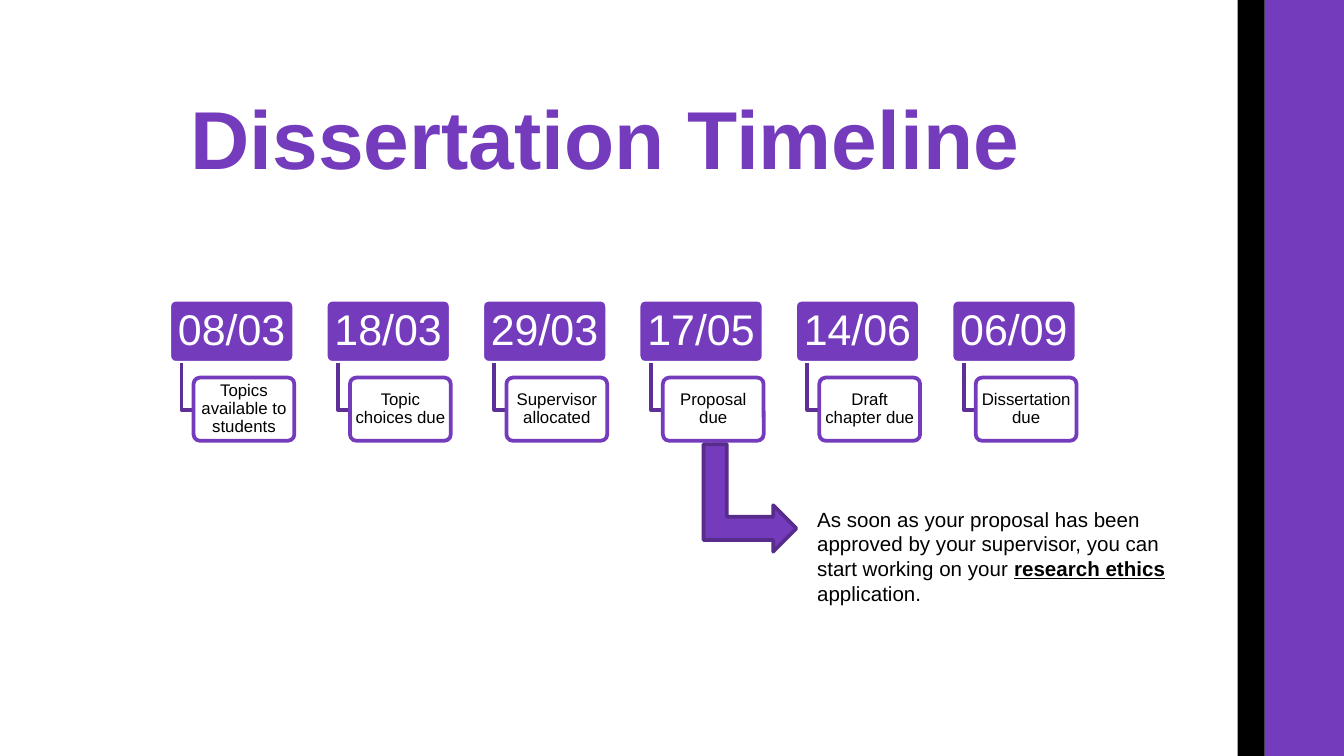
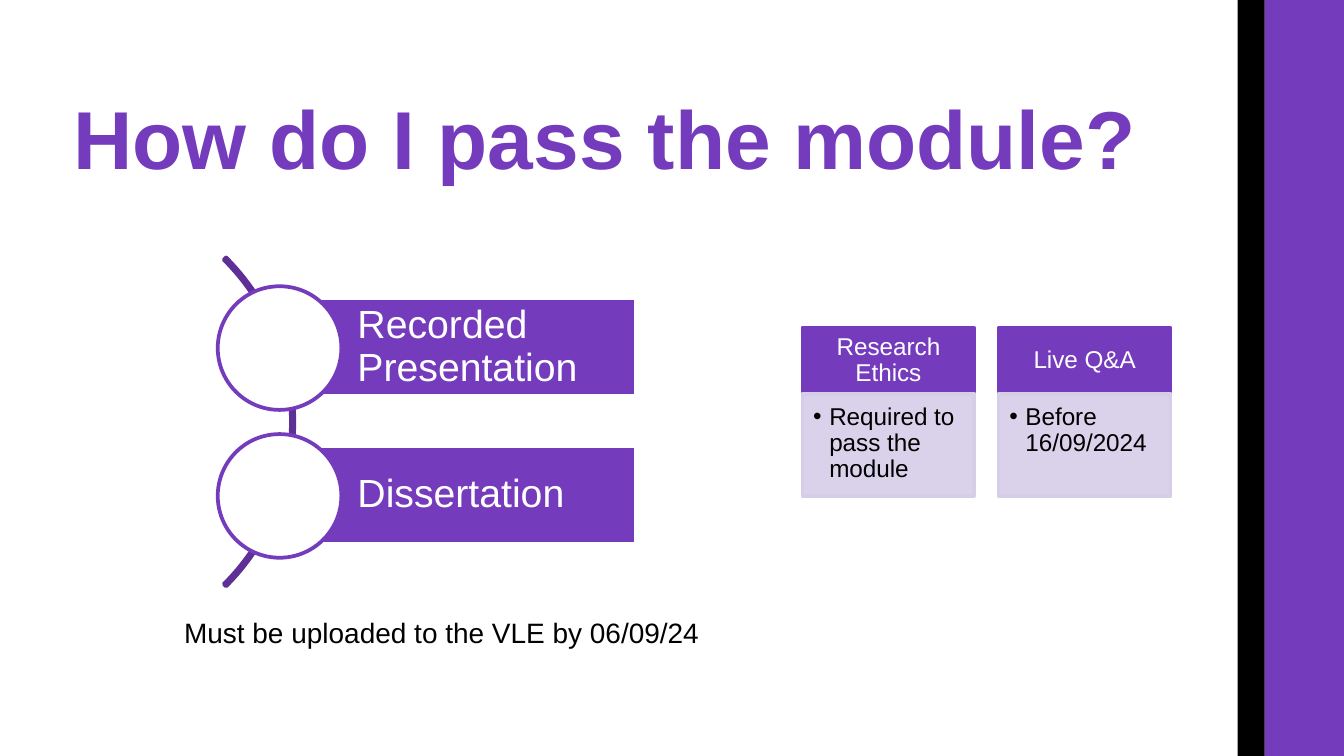
from lxml import etree
from pptx import Presentation
from pptx.dml.color import RGBColor
from pptx.enum.shapes import MSO_SHAPE as SHAPE
from pptx.enum.text import MSO_ANCHOR as ANCHOR, PP_ALIGN as ALIGN
from pptx.oxml.ns import qn
from pptx.util import Inches, Pt

PURPLE = RGBColor(0x75, 0x3B, 0xBD)
MID_PURPLE = RGBColor(0x5E, 0x2F, 0x97)
DARK_PURPLE = RGBColor(0x57, 0x2C, 0x8C)
LILAC = RGBColor(0xD6, 0xCE, 0xE8)
WHITE = RGBColor(0xFF, 0xFF, 0xFF)
BLACK = RGBColor(0, 0, 0)
FONT = "Arial"
WIDTH = 10
HEIGHT = WIDTH * 9 / 16


def add_box(slide, kind, at, fill=None, line=None, opacity=100):
    """Add a preset shape, or a text box if kind is None."""
    at = [Inches(v) for v in at]
    if kind is None:
        return slide.shapes.add_textbox(*at)
    box = slide.shapes.add_shape(kind, *at)
    box.shadow.inherit = False
    box.fill.solid()
    box.fill.fore_color.rgb = fill
    if line is None:
        box.line.fill.background()
    else:
        box.line.color.rgb = line
        box.line.width = Pt(2)
    if opacity < 100:
        fill_color = box.fill._xPr.find(qn("a:solidFill"))[0]
        etree.SubElement(fill_color, qn("a:alpha"), val=str(opacity * 1000))
    return box


def write(box, text, size, color, insets=(0, 0, 0, 0), align=ALIGN.LEFT,
          anchor=ANCHOR.TOP, spacing=0.9, indent=0, bullet=False, bold=None):
    """Put one paragraph in a box and return the paragraph."""
    frame = box.text_frame
    frame.word_wrap = True
    frame.vertical_anchor = anchor
    (frame.margin_left, frame.margin_top,
     frame.margin_right, frame.margin_bottom) = [Inches(v) for v in insets]
    para = frame.paragraphs[0]
    para.add_run().text = text
    para.alignment = align
    para.line_spacing = spacing
    props = para._p.get_or_add_pPr()
    if indent:
        props.set("marL", str(Inches(indent)))
    if bullet:
        props.set("indent", str(-Inches(indent)))
        etree.SubElement(props, qn("a:buFont"), typeface=FONT)
        etree.SubElement(props, qn("a:buChar"), char="•")
    para.font.name = FONT
    para.font.size = Pt(size)
    para.font.color.rgb = color
    para.font.bold = bold
    return para


prs = Presentation()
prs.slide_width, prs.slide_height = Inches(WIDTH), Inches(HEIGHT)

# Both slides: side bands and title
slides = []
for title in ("Dissertation Timeline", "How do I pass the module?"):
    slide = prs.slides.add_slide(prs.slide_layouts[6])
    add_box(slide, SHAPE.RECTANGLE, (9.41, 0, 0.59, HEIGHT), PURPLE)
    add_box(slide, SHAPE.RECTANGLE, (9.21, 0, 0.2, HEIGHT), BLACK)
    write(add_box(slide, None, (0.4, 0.39, 8.21, 1)), title, 44, PURPLE,
          align=ALIGN.CENTER, anchor=ANCHOR.BOTTOM, bold=True)
    slides.append(slide)
timeline, passing = slides

# Timeline: a date, an elbow line and a milestone in each column
MILESTONES = [
    ("08/03", "Topics available to students"),
    ("18/03", "Topic choices due"),
    ("29/03", "Supervisor allocated"),
    ("17/05", "Proposal due"),
    ("14/06", "Draft chapter due"),
    ("06/09", "Dissertation due"),
]
COLUMN_STEP = (7.08 - 1.26) / (len(MILESTONES) - 1)
for column, (date, milestone) in enumerate(MILESTONES):
    left = 1.26 + column * COLUMN_STEP
    date_box = add_box(timeline, SHAPE.ROUNDED_RECTANGLE,
                       (left, 2.23, 0.93, 0.47), PURPLE, WHITE)
    date_box.adjustments[0] = 0.1
    write(date_box, date, 23, WHITE, (0.03, 0.03, 0.03, 0.03),
          ALIGN.CENTER, ANCHOR.MIDDLE)

    path = timeline.shapes.build_freeform(Inches(left + 0.09), Inches(2.7))
    path.add_line_segments([(Inches(left + 0.09), Inches(3.05)),
                            (Inches(left + 0.18), Inches(3.05))], close=False)
    elbow = path.convert_to_shape()
    elbow.shadow.inherit = False
    elbow.fill.background()
    elbow.line.color.rgb = MID_PURPLE
    elbow.line.width = Pt(2)

    milestone_box = add_box(timeline, SHAPE.ROUNDED_RECTANGLE,
                            (left + 0.18, 2.81, 0.75, 0.47),
                            WHITE, PURPLE, opacity=90)
    milestone_box.adjustments[0] = 0.1
    write(milestone_box, milestone, 9, BLACK, (0.02, 0.01, 0.02, 0.01),
          ALIGN.CENTER, ANCHOR.MIDDLE)

# Timeline: ethics note below the proposal
ethics_arrow = add_box(timeline, SHAPE.BENT_UP_ARROW,
                       (5.18, 3.36, 0.8, 0.69), PURPLE, DARK_PURPLE)
ethics_arrow.rotation = 90
ethics_note = write(
    add_box(timeline, None, (5.78, 3.77, 3.04, 0.77)),
    "As soon as your proposal has been approved by your supervisor, "
    "you can start working on your ", 11, BLACK, spacing=1.0, indent=0.3)
ethics = ethics_note.add_run()
ethics.text = "research ethics "
ethics.font.bold = ethics.font.underline = True
ethics_note.add_run().text = "application."

# Passing: upload deadline
write(add_box(passing, None, (1.07, 4.58, 4.21, 0.38)),
      "Must be uploaded to the VLE by 06/09/24", 15, BLACK,
      spacing=1.0, indent=0.3)

# Passing: arc with the two submissions
arc = add_box(passing, SHAPE.BLOCK_ARC, (-1.27, 1.41, 3.46, 3.46),
              WHITE, MID_PURPLE)
arc.fill.background()
for position, value in enumerate((189, 27, 0.007)):
    arc.adjustments[position] = value
for row, submission in enumerate(("Recorded Presentation", "Dissertation")):
    top = 2.13 + row * 1.1
    bar = add_box(passing, SHAPE.RECTANGLE, (2.08, top + 0.09, 2.65, 0.73),
                  PURPLE, WHITE)
    write(bar, submission, 21, WHITE, (0.58, 0.06, 0.06, 0.06),
          anchor=ANCHOR.MIDDLE)
    add_box(passing, SHAPE.OVAL, (1.62, top, 0.92, 0.92), WHITE, PURPLE)

# Passing: requirement cards
REQUIREMENTS = [
    ("Research Ethics", "Required to pass the module"),
    ("Live Q&A", "Before 16/09/2024"),
]
for column, (heading, detail) in enumerate(REQUIREMENTS):
    left = 5.97 + column * 1.46
    head = add_box(passing, SHAPE.RECTANGLE, (left, 2.44, 1.28, 0.49),
                   PURPLE, PURPLE)
    write(head, heading, 13, WHITE, (0.1, 0.06, 0.1, 0.06),
          ALIGN.CENTER, ANCHOR.MIDDLE)
    body = add_box(passing, SHAPE.RECTANGLE, (left, 2.93, 1.28, 0.76),
                   LILAC, LILAC, opacity=90)
    write(body, detail, 13, BLACK, (0.08, 0.08, 0.1, 0.11),
          indent=0.12, bullet=True)

prs.save("out.pptx")
